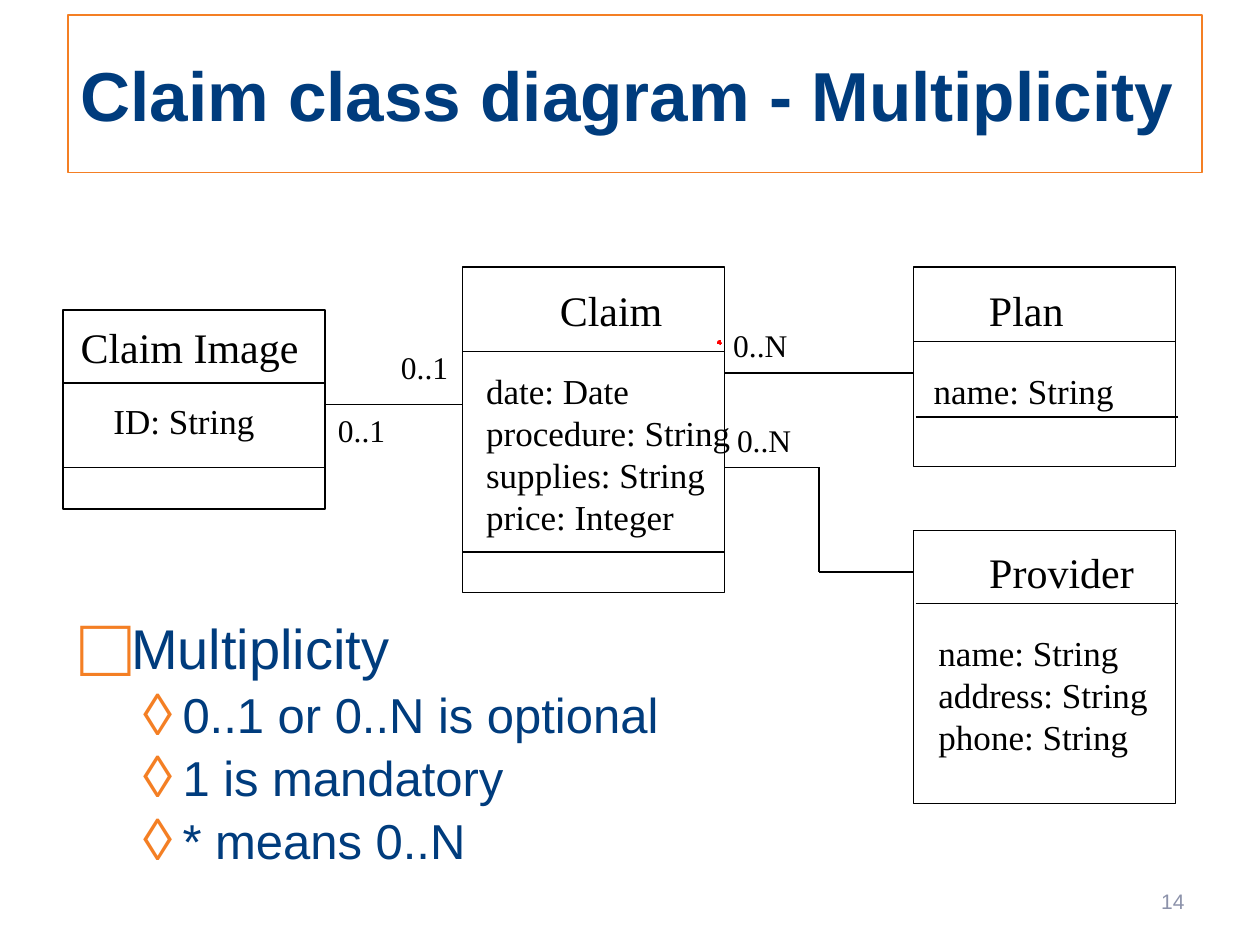
import pptx
import pptx.util
import pptx.dml.color
import pptx.enum.shapes
import pptx.enum.text
import lxml.etree
from dataclasses import dataclass
from pptx.util import Inches, Pt

ALIGN = pptx.enum.text.PP_ALIGN
ANCHOR = pptx.enum.text.MSO_ANCHOR
A = "{http://schemas.openxmlformats.org/drawingml/2006/main}"


@dataclass(frozen=True)
class Theme:
    navy: str = "003C7D"
    orange: str = "F47F24"
    grey: str = "8C92AA"
    black: str = "000000"
    red: str = "FF0000"
    sans: str = "Arial"
    serif: str = "Times New Roman"
    title: float = 39.6
    topic: int = 32
    point: int = 28
    class_name: int = 24
    attribute: int = 20
    multiplicity: int = 18
    page: int = 12


THEME = Theme()


def rgb(value):
    return pptx.dml.color.RGBColor.from_string(value)


def set_font(paragraph, face, size, color, bold=False):
    font = paragraph.font
    font.name, font.size, font.bold = face, Pt(size), bold
    font.color.rgb = rgb(color)


def add_text(slide, box, lines, size, align=ALIGN.CENTER, face=THEME.serif,
             color=THEME.black, wrap=False, anchor=ANCHOR.TOP):
    frame = slide.shapes.add_textbox(*map(Inches, box)).text_frame
    frame.word_wrap = wrap
    frame.vertical_anchor = anchor
    frame.text = "\n".join(lines)
    for paragraph in frame.paragraphs:
        paragraph.alignment = align
        set_font(paragraph, face, size, color)
    return frame


def add_outline(slide, box, color, width):
    outline = slide.shapes.add_shape(
        pptx.enum.shapes.MSO_SHAPE.RECTANGLE, *map(Inches, box))
    outline.shadow.inherit = False
    outline.fill.background()
    outline.line.color.rgb = rgb(color)
    outline.line.width = Pt(width)
    return outline


def add_line(slide, start, end):
    line = slide.shapes.add_connector(
        pptx.enum.shapes.MSO_CONNECTOR.STRAIGHT, *map(Inches, (*start, *end)))
    line.line.color.rgb = rgb(THEME.black)
    line.line.width = Pt(0.75)
    lxml.etree.SubElement(line._element.spPr, A + "effectLst")


def add_title(slide, box, text):
    frame = add_outline(slide, box, THEME.orange, 1).text_frame
    frame.word_wrap = True
    frame.vertical_anchor = ANCHOR.MIDDLE
    frame.text = text
    frame.paragraphs[0].alignment = ALIGN.LEFT
    set_font(frame.paragraphs[0], THEME.sans, THEME.title, THEME.navy, True)


def add_class(slide, box, name, name_box, attributes, attribute_box, dividers):
    """Text boxes and dividers (dx, dy) are offsets from the class corner."""
    left, top, width, _ = box
    add_outline(slide, box, THEME.black, 0.75)
    for dx, dy in dividers:
        add_line(slide, (left + dx, top + dy), (left + dx + width, top + dy))
    align = ALIGN.LEFT if len(attributes) > 1 else ALIGN.CENTER
    for lines, (dx, dy, w, h), size, side in (
            ([name], name_box, THEME.class_name, ALIGN.CENTER),
            (attributes, attribute_box, THEME.attribute, align)):
        add_text(slide, (left + dx, top + dy, w, h), lines, size, side)


def add_association(slide, points):
    for start, end in zip(points, points[1:]):
        add_line(slide, start, end)


def add_bullet(paragraph, char, size_percent, margin, hang):
    props = paragraph._p.get_or_add_pPr()
    props.set("marL", str(Inches(margin)))
    props.set("indent", str(Inches(-hang)))
    color = lxml.etree.SubElement(props, A + "buClr")
    lxml.etree.SubElement(color, A + "srgbClr", val=THEME.orange)
    lxml.etree.SubElement(props, A + "buSzPct", val=str(size_percent * 1000))
    lxml.etree.SubElement(props, A + "buFont", typeface=THEME.sans)
    lxml.etree.SubElement(props, A + "buChar", char=char)


def add_notes_list(slide, box, topic, points):
    frame = add_text(slide, box, [topic, *points], THEME.point, ALIGN.LEFT,
                     THEME.sans, THEME.navy, wrap=True)
    for index, paragraph in enumerate(frame.paragraphs):
        size = THEME.point if index else THEME.topic
        paragraph.font.size = Pt(size)
        paragraph.line_spacing = 0.9
        paragraph.space_before = Pt(round(size * 0.2, 1))
        if index:
            paragraph.level = 1
            add_bullet(paragraph, "\u25ca", 120, 0.81, 0.31)
        else:
            add_bullet(paragraph, "\u25a1", 150, 0.38, 0.38)


def add_ink_dot(slide, x, y):
    builder = slide.shapes.build_freeform(Inches(x + 0.01), Inches(y))
    builder.add_line_segments(
        [(Inches(x), Inches(y)), (Inches(x), Inches(y + 0.01))], close=False)
    dot = builder.convert_to_shape()
    dot.shadow.inherit = False
    dot.fill.background()
    dot.line.color.rgb = rgb(THEME.red)
    dot.line.width = Pt(3)


deck = pptx.Presentation()
deck.slide_width, deck.slide_height = Inches(10), Inches(7.5)
slide = deck.slides.add_slide(deck.slide_layouts[6])

# Title and page number
add_title(slide, (0.54, 0.12, 9, 1.25), "Claim class diagram - Multiplicity")
add_text(slide, (7.17, 6.95, 2.33, 0.4), ["14"], THEME.page, ALIGN.RIGHT,
         THEME.sans, THEME.grey, True, ANCHOR.MIDDLE)

# Classes
add_class(slide, (0.5, 2.46, 2.08, 1.58),
          "Claim Image", (0.04, 0.04, 1.93, 0.5),
          ["ID: String"], (0.3, 0.66, 1.32, 0.43), [(0, 0.58), (0, 1.25)])
add_class(slide, (3.67, 2.12, 2.08, 2.58),
          "Claim", (0.67, 0.09, 1.02, 0.5),
          ["date: Date", "procedure: String", "supplies: String",
           "price: Integer"],
          (0.09, 0.76, 2.14, 1.43), [(0, 0.67), (0, 2.26)])
add_class(slide, (7.25, 2.12, 2.08, 1.58),
          "Plan", (0.5, 0.09, 0.79, 0.5),
          ["name: String"], (0.06, 0.76, 1.63, 0.43),
          [(0, 0.59), (0.02, 1.19)])
add_class(slide, (7.25, 4.21, 2.08, 2.17),
          "Provider", (0.5, 0.08, 1.35, 0.5),
          ["name: String", "address: String", "phone: String"],
          (0.1, 0.75, 1.86, 1.1), [(0.02, 0.58)])

# Associations and their multiplicities
add_association(slide, [(2.58, 3.21), (3.67, 3.21)])
add_association(slide, [(5.75, 2.96), (7.25, 2.96)])
add_association(slide, [(5.75, 3.71), (6.5, 3.71), (6.5, 4.54), (7.25, 4.54)])
for text, x, y, width in (("0..1", 2.58, 3.21, 0.58), ("0..1", 3.08, 2.71, 0.58),
                          ("0..N", 5.75, 3.29, 0.63), ("0..N", 5.72, 2.54, 0.63)):
    add_text(slide, (x, y, width, 0.4), [text], THEME.multiplicity)

# Explanation and ink mark
add_notes_list(slide, (0.54, 4.88, 5.59, 2.14), "Multiplicity",
               ["0..1 or 0..N is optional", "1 is mandatory", "* means 0..N"])
add_ink_dot(slide, 5.71, 2.72)

deck.save("out.pptx")
